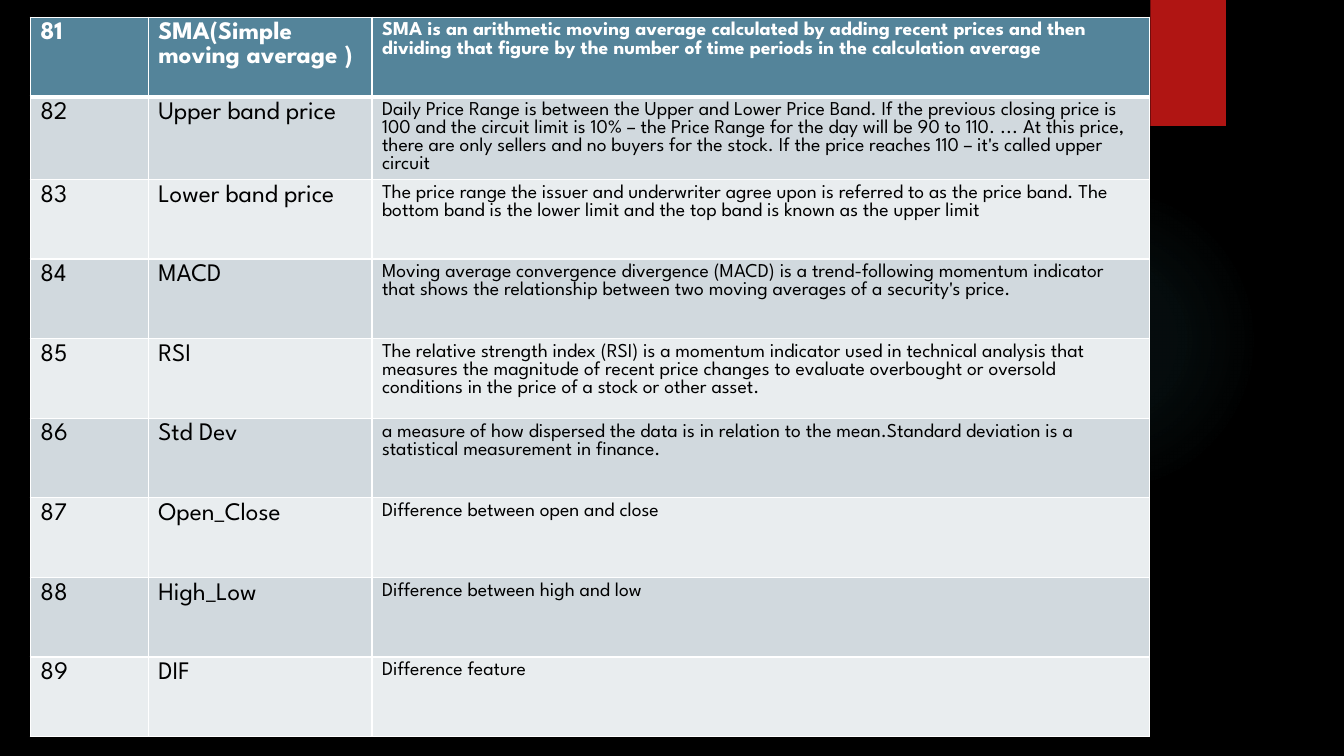
from dataclasses import dataclass

from lxml.etree import SubElement
from pptx import Presentation
from pptx.dml.color import RGBColor
from pptx.enum.shapes import MSO_SHAPE
from pptx.oxml import parse_xml
from pptx.oxml.ns import qn
from pptx.util import Inches, Pt

NS = 'xmlns:a="http://schemas.openxmlformats.org/drawingml/2006/main"'


@dataclass
class Theme:
    font: str = "League Spartan"
    back: str = "000000"
    head: str = "54849A"
    bands: tuple = ("E9EDEF", "D1D9DE")
    line: str = "FFFFFF"
    light: str = "FFFFFF"
    dark: str = "000000"
    tab: str = "B01513"
    glow: str = "50B9C1"
    sizes: tuple = (18, 18, 14)


class Page:
    def __init__(self, deck, theme):
        self.theme = theme
        self.slide = deck.slides.add_slide(deck.slide_layouts[6])
        self.paint(self.slide.background.fill, theme.back)

    def paint(self, fill, color):
        fill.solid()
        fill.fore_color.rgb = RGBColor.from_string(color)

    def shape(self, kind, box, color):
        item = self.slide.shapes.add_shape(kind, *map(Inches, box))
        item.shadow.inherit = False
        item.line.fill.background()
        self.paint(item.fill, color)
        return item

    def glow(self, box, stops):
        item = self.shape(MSO_SHAPE.OVAL, box, self.theme.glow)
        marks = "".join(
            f'<a:gs pos="{pos * 1000}"><a:srgbClr val="{self.theme.glow}">'
            f'<a:alpha val="{alpha * 1000}"/></a:srgbClr></a:gs>'
            for pos, alpha in stops
        )
        grad = parse_xml(
            f'<a:gradFill {NS} rotWithShape="1"><a:gsLst>{marks}</a:gsLst>'
            '<a:path path="circle"><a:fillToRect l="50000" t="50000" '
            'r="50000" b="50000"/></a:path></a:gradFill>'
        )
        props = item._element.spPr
        props.replace(props.find(qn("a:solidFill")), grad)

    def tab(self, box):
        item = self.shape(MSO_SHAPE.RECTANGLE, box, self.theme.tab)
        effects = item._element.spPr.find(qn("a:effectLst"))
        effects.append(parse_xml(
            f'<a:outerShdw {NS} blurRad="{Pt(3)}" dist="{Pt(2)}" '
            'dir="5400000" rotWithShape="0"><a:srgbClr val="000000">'
            '<a:alpha val="45000"/></a:srgbClr></a:outerShdw>'
        ))

    def edge(self, cell, side, width):
        props = cell._tc.get_or_add_tcPr()
        line = SubElement(props, qn(f"a:ln{side}"), w=str(Pt(width)))
        fill = SubElement(line, qn("a:solidFill"))
        SubElement(fill, qn("a:srgbClr"), val=self.theme.line)

    def cell(self, cell, text, row, col):
        theme = self.theme
        for side in "LRTB":
            thick = (row, side) in ((0, "B"), (1, "T"))
            self.edge(cell, side, 3 if thick else 1)
        self.paint(cell.fill, theme.bands[row % 2] if row else theme.head)
        run = cell.text_frame.paragraphs[0].add_run()
        run.text = text
        run.font.name = theme.font
        run.font.size = Pt(theme.sizes[col])
        run.font.bold = row == 0
        color = theme.dark if row else theme.light
        run.font.color.rgb = RGBColor.from_string(color)

    def table(self, left, top, widths, height, rows):
        frame = self.slide.shapes.add_table(
            len(rows), len(widths), Inches(left), Inches(top),
            Inches(sum(widths)), Inches(height * len(rows)),
        )
        grid = frame.table
        for col, width in zip(grid.columns, widths):
            col.width = Inches(width)
        for r, texts in enumerate(rows):
            grid.rows[r].height = Inches(height)
            for c, text in enumerate(texts):
                self.cell(grid.cell(r, c), text, r, c)


TERMS = [
    ("SMA(Simple moving average )",
     "SMA is an arithmetic moving average calculated by adding recent prices "
     "and then dividing that figure by the number of time periods in the "
     "calculation average"),
    ("Upper band price",
     "Daily Price Range is between the Upper and Lower Price Band. If the "
     "previous closing price is 100 and the circuit limit is 10% – the Price "
     "Range for the day will be 90 to 110. ... At this price, there are only "
     "sellers and no buyers for the stock. If the price reaches 110 – it's "
     "called upper circuit"),
    ("Lower band price",
     "The price range the issuer and underwriter agree upon is referred to as "
     "the price band. The bottom band is the lower limit and the top band is "
     "known as the upper limit"),
    ("MACD",
     "Moving average convergence divergence (MACD) is a trend-following "
     "momentum indicator that shows the relationship between two moving "
     "averages of a security's price."),
    ("RSI",
     "The relative strength index (RSI) is a momentum indicator used in "
     "technical analysis that measures the magnitude of recent price changes "
     "to evaluate overbought or oversold conditions in the price of a stock "
     "or other asset."),
    ("Std Dev",
     "a measure of how dispersed the data is in relation to the mean.Standard "
     "deviation is a statistical measurement in finance."),
    ("Open_Close", "Difference between open and close"),
    ("High_Low", "Difference between high and low"),
    ("DIF", "Difference feature"),
]


def main():
    deck = Presentation()
    deck.slide_width = Inches(13.33)
    deck.slide_height = Inches(7.5)
    page = Page(deck, Theme())
    page.glow((9.41, 1.83, 3.08, 3.08), [(0, 7), (36, 6), (69, 0)])
    page.tab((11.41, 0, 0.75, 1.25))
    rows = [(str(num), *term) for num, term in enumerate(TERMS, 81)]
    page.table(0.3, 0.17, (1.17, 2.22, 7.71), 0.79, rows)
    deck.save("out.pptx")


if __name__ == "__main__":
    main()
